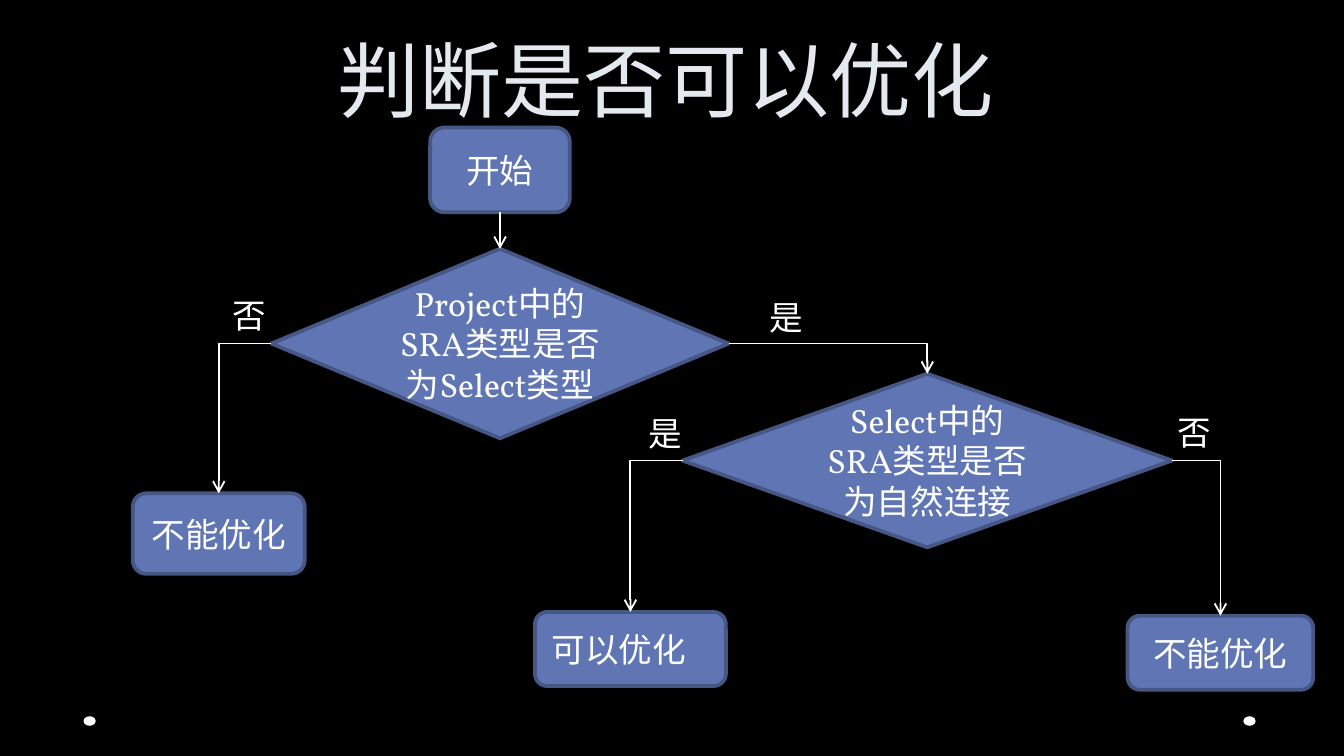
import pptx
import pptx.util
import pptx.dml.color
import pptx.enum.shapes
import pptx.enum.text
import pptx.oxml.ns
from lxml import etree

Cm, Pt = pptx.util.Cm, pptx.util.Pt
RGBColor = pptx.dml.color.RGBColor
Shape = pptx.enum.shapes.MSO_SHAPE
Connector = pptx.enum.shapes.MSO_CONNECTOR
Align = pptx.enum.text.PP_ALIGN
Anchor = pptx.enum.text.MSO_ANCHOR
AutoSize = pptx.enum.text.MSO_AUTO_SIZE
qn = pptx.oxml.ns.qn

BLACK = RGBColor(0x00, 0x00, 0x00)
WHITE = RGBColor(0xFF, 0xFF, 0xFF)
PALE = RGBColor(0xE4, 0xE9, 0xEF)
BLUE = RGBColor(0x60, 0x76, 0xB4)
DARK_BLUE = RGBColor(0x47, 0x57, 0x85)
FONT = "Vollkorn"
TOP, LEFT, BOTTOM, RIGHT = range(4)


def write(frame, text, size, color, align):
    frame.word_wrap = True
    para = frame.paragraphs[0]
    para.text = text
    para.alignment = align
    para.font.name = FONT
    para.font.size = Pt(size)
    para.font.color.rgb = color


deck = pptx.Presentation()
deck.slide_width, deck.slide_height = Cm(25.4), Cm(14.28)
page = deck.slides.add_slide(deck.slide_layouts[5])
page.background.fill.solid()
page.background.fill.fore_color.rgb = BLACK

# Corner dots
for left in (1.58, 23.5):
    dot = page.shapes.add_shape(Shape.OVAL, Cm(left), Cm(13.53), Cm(0.23), Cm(0.18))
    dot.shadow.inherit = False
    dot.fill.solid()
    dot.fill.fore_color.rgb = WHITE
    dot.line.fill.background()

# Title
title = page.shapes.title
title.left, title.top, title.width, title.height = Cm(1.27), Cm(0), Cm(22.63), Cm(2.54)
write(title.text_frame, "判断是否可以优化", 44, PALE, Align.CENTER)
title.text_frame.vertical_anchor = Anchor.BOTTOM
title.text_frame.auto_size = AutoSize.NONE
title.text_frame.paragraphs[0].line_spacing = Pt(58)

# Steps: name, shape, left, top, width, height, text, alignment
DECISION = Shape.FLOWCHART_DECISION
PROCESS = Shape.FLOWCHART_ALTERNATE_PROCESS
steps = [
    ("join", DECISION, 12.9, 7.06, 9.25, 3.28, "Select中的SRA类型是否为自然连接", Align.CENTER),
    ("select", DECISION, 5.13, 4.7, 8.64, 3.58, "Project中的SRA类型是否为Select类型", Align.CENTER),
    ("not select", PROCESS, 2.51, 9.32, 3.25, 1.52, "不能优化", Align.CENTER),
    ("start", PROCESS, 8.13, 2.41, 2.64, 1.6, "开始", Align.CENTER),
    ("optimise", PROCESS, 10.11, 11.56, 3.61, 1.4, "可以优化", Align.LEFT),
    ("not join", Shape.ROUNDED_RECTANGLE, 21.31, 11.63, 3.51, 1.4, "不能优化", Align.CENTER),
]
boxes = {}
for name, kind, left, top, width, height, text, align in steps:
    box = page.shapes.add_shape(kind, Cm(left), Cm(top), Cm(width), Cm(height))
    box.shadow.inherit = False
    box.fill.solid()
    box.fill.fore_color.rgb = BLUE
    box.line.color.rgb = DARK_BLUE
    box.line.width = Pt(2)
    write(box.text_frame, text, 18, WHITE, align)
    box.text_frame.vertical_anchor = Anchor.MIDDLE
    boxes[name] = box

# Arrows: each ends at the top of its target
arrows = [
    ("start", BOTTOM, "select"),
    ("select", LEFT, "not select"),
    ("select", RIGHT, "join"),
    ("join", LEFT, "optimise"),
    ("join", RIGHT, "not join"),
]
for source, side, target in arrows:
    kind = Connector.STRAIGHT if side == BOTTOM else Connector.ELBOW
    arrow = page.shapes.add_connector(kind, 0, 0, 0, 0)
    arrow.begin_connect(boxes[source], side)
    arrow.end_connect(boxes[target], TOP)
    arrow.line.color.rgb = WHITE
    arrow.line.width = Pt(1)
    properties = arrow._element.spPr
    if kind == Connector.ELBOW:
        properties.find(qn("a:prstGeom")).set("prst", "bentConnector2")  # one corner
    etree.SubElement(arrow.line._get_or_add_ln(), qn("a:tailEnd"), type="arrow")
    etree.SubElement(properties, qn("a:effectLst"))

# Branch labels
for text, left, top, width in [
    ("否", 4.14, 5.44, 1.19),
    ("是", 14.3, 5.49, 0.89),
    ("是", 12.01, 7.67, 0.89),
    ("否", 22, 7.65, 1.19),
]:
    label = page.shapes.add_textbox(Cm(left), Cm(top), Cm(width), Cm(1.02))
    write(label.text_frame, text, 18, WHITE, Align.LEFT)
    label.text_frame.auto_size = AutoSize.SHAPE_TO_FIT_TEXT

deck.save("out.pptx")
